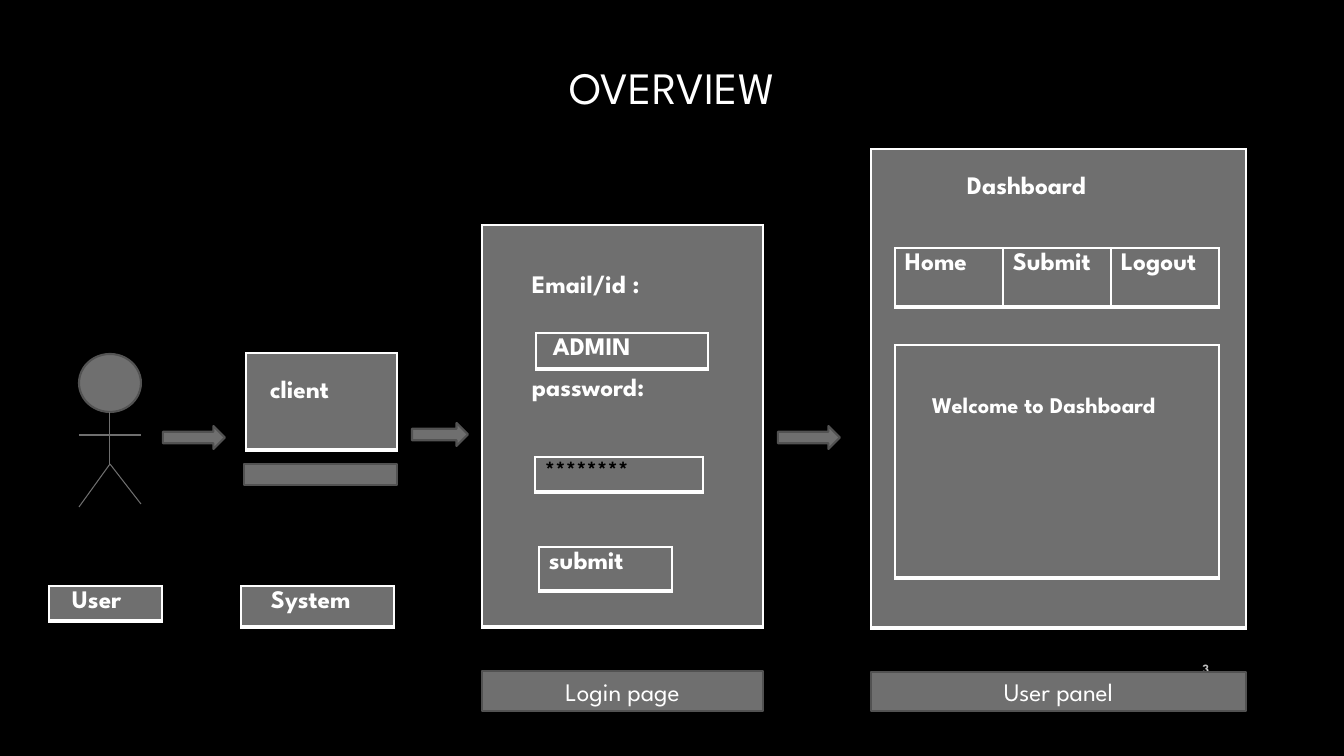
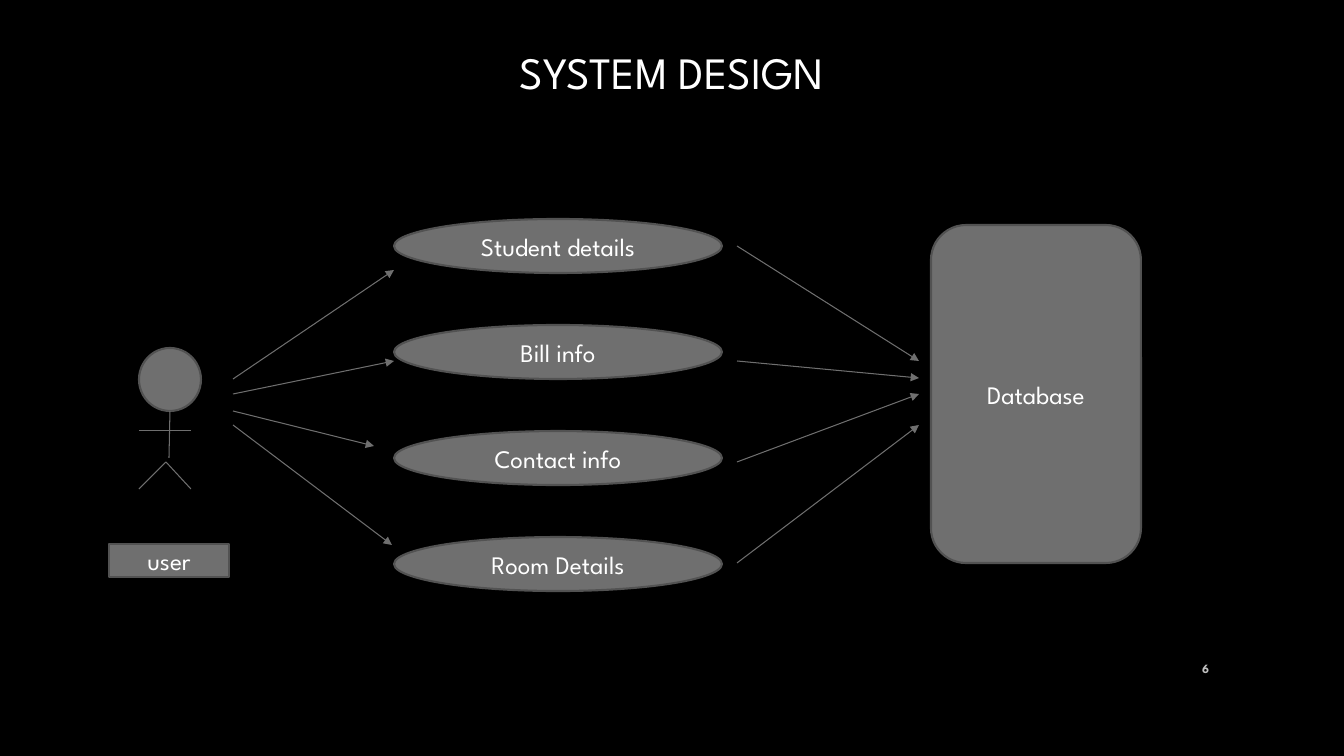
from pptx import Presentation
from pptx import util as u
from pptx.dml.color import RGBColor
from pptx.enum import shapes, text
from pptx.oxml import parse_xml
from pptx.oxml.ns import nsdecls, qn
from lxml import etree

BLACK = RGBColor(0x00, 0x00, 0x00)
WHITE = RGBColor(0xFF, 0xFF, 0xFF)
GREY = RGBColor(0x6F, 0x6F, 0x6F)
OUTLINE = RGBColor(0x52, 0x52, 0x52)
NUMBER_GREY = RGBColor(0xBF, 0xBF, 0xBF)
FONT = "League Spartan"
WIDTH, HEIGHT = 1344, 756
EMU_PER_PX = 914400 / 100.8
BORDERS = {"lnL": 1, "lnR": 1, "lnT": 1, "lnB": 3}
KINDS = shapes.MSO_SHAPE


def px(*lengths):
    return [u.Emu(round(length * EMU_PER_PX)) for length in lengths]


class Deck:
    def __init__(self):
        self.deck = Presentation()
        self.deck.slide_width, self.deck.slide_height = px(WIDTH, HEIGHT)
        self.page = None

    def start_page(self, title, title_top, title_height, number):
        self.page = self.deck.slides.add_slide(self.deck.slide_layouts[6])
        fill = self.page.background.fill
        fill.solid()
        fill.fore_color.rgb = BLACK
        self.label(title, (0, title_top, WIDTH, title_height), 32)
        self.label(number, (1159, 648, 60, 40), 9, NUMBER_GREY, True, text.PP_ALIGN.RIGHT)

    def style(self, para, size, color=WHITE, bold=False, align=None):
        para.alignment = align
        para.font.name = FONT
        para.font.size = u.Pt(size)
        para.font.bold = bold
        para.font.color.rgb = color

    def label(self, words, bounds, size, color=WHITE, bold=False, align=text.PP_ALIGN.CENTER):
        frame = self.page.shapes.add_textbox(*px(*bounds)).text_frame
        frame.word_wrap = True
        frame.vertical_anchor = text.MSO_ANCHOR.MIDDLE
        frame.text = words
        self.style(frame.paragraphs[0], size, color, bold, align)

    def shape(self, kind, bounds, words=None):
        box = self.page.shapes.add_shape(kind, *px(*bounds))
        box.shadow.inherit = False
        box.fill.solid()
        box.fill.fore_color.rgb = GREY
        box.line.color.rgb = OUTLINE
        box.line.width = u.Pt(1.5)
        if words:
            box.text_frame.text = words
            box.text_frame.vertical_anchor = text.MSO_ANCHOR.MIDDLE
            self.style(box.text_frame.paragraphs[0], 18, align=text.PP_ALIGN.CENTER)

    def line(self, start, end, arrow=False):
        line = self.page.shapes.add_connector(shapes.MSO_CONNECTOR.STRAIGHT, *px(*start, *end))
        line.line.color.rgb = GREY
        line.line.width = u.Pt(0.75)
        if arrow:
            etree.SubElement(line.line._get_or_add_ln(), qn("a:tailEnd"), type="triangle")
        etree.SubElement(line._element.spPr, qn("a:effectLst"))

    def actor(self, head, limbs):
        self.shape(KINDS.OVAL, head)
        for start, end in limbs:
            self.line(start, end)

    def table(self, bounds, columns, left=10, top=5, size=18, color=WHITE, gap=0):
        grid = self.page.shapes.add_table(1, len(columns), *px(*bounds)).table
        grid.first_row = grid.horz_banding = False
        for cell, lines in zip(grid.rows[0].cells, columns):
            cell.margin_left, cell.margin_top, cell.margin_bottom = px(left, top, 0)
            cell.text_frame.text = "\n".join(lines)
            for index, para in enumerate(cell.text_frame.paragraphs):
                self.style(para, size, color, True)
                if index:
                    para.space_before = u.Pt(gap)
            properties = cell._tc.get_or_add_tcPr()
            for side, points in BORDERS.items():
                properties.append(parse_xml(
                    f'<a:{side} {nsdecls("a")} w="{u.Pt(points)}"><a:solidFill>'
                    f'<a:srgbClr val="{WHITE}"/></a:solidFill></a:{side}>'))
            cell.fill.solid()
            cell.fill.fore_color.rgb = GREY


def overview(deck):
    deck.start_page("OVERVIEW", 31, 112, "3")
    hip = (110, 464)
    deck.actor((79, 354, 62, 58), [
        ((110, 412), hip), (hip, (79, 507)), (hip, (141, 504)), ((79, 435), (141, 435))])
    for bounds in [(163, 426, 62, 23), (412, 423, 56, 23), (778, 426, 62, 23)]:
        deck.shape(KINDS.RIGHT_ARROW, bounds)

    deck.table((246, 353, 151, 97), [["client"]], left=24, top=28)
    deck.table((482, 225, 281, 402), [["Email/id :", "password:"]], left=50, top=51, gap=57)
    deck.table((536, 333, 172, 36), [["ADMIN"]], left=17)
    deck.table((535, 457, 168, 34), [["********"]], color=BLACK)
    deck.table((539, 547, 133, 44), [["submit"]])
    deck.table((871, 149, 375, 479), [["Dashboard"]], left=96, top=28)
    deck.table((895, 248, 324, 59), [["Home"], ["Submit"], ["Logout"]])
    deck.table((895, 345, 324, 233), [["Welcome to Dashboard"]], left=37, top=53, size=16)
    deck.table((49, 586, 113, 34), [["User"]], left=23)
    deck.table((241, 586, 153, 41), [["System"]], left=30)

    deck.shape(KINDS.RECTANGLE, (244, 464, 153, 21))
    deck.shape(KINDS.RECTANGLE, (482, 671, 281, 40), "Login page")
    deck.shape(KINDS.RECTANGLE, (871, 672, 375, 39), "User panel")


def system_design(deck):
    deck.start_page("SYSTEM DESIGN", 0, 144, "6")
    hip = (166, 462)
    deck.actor((139, 348, 62, 63), [
        ((170, 411), (169, 458)), (hip, (139, 489)), (hip, (191, 489)), ((139, 431), (191, 431))])
    deck.shape(KINDS.RECTANGLE, (109, 544, 120, 33), "user")
    for row, words in enumerate(["Student details", "Bill info", "Contact info", "Room Details"]):
        deck.shape(KINDS.OVAL, (394, 219 + 106 * row, 328, 54), words)
    deck.shape(KINDS.ROUNDED_RECTANGLE, (931, 225, 210, 338), "Database")

    for start_y, end in [(379, (394, 270)), (394, (394, 361)), (411, (374, 446)), (425, (392, 545))]:
        deck.line((233, start_y), end, arrow=True)
    for start_y, end_y in [(246, 361), (361, 378), (462, 394), (563, 425)]:
        deck.line((737, start_y), (919, end_y), arrow=True)


def main():
    deck = Deck()
    overview(deck)
    system_design(deck)
    deck.deck.save("out.pptx")


if __name__ == "__main__":
    main()
